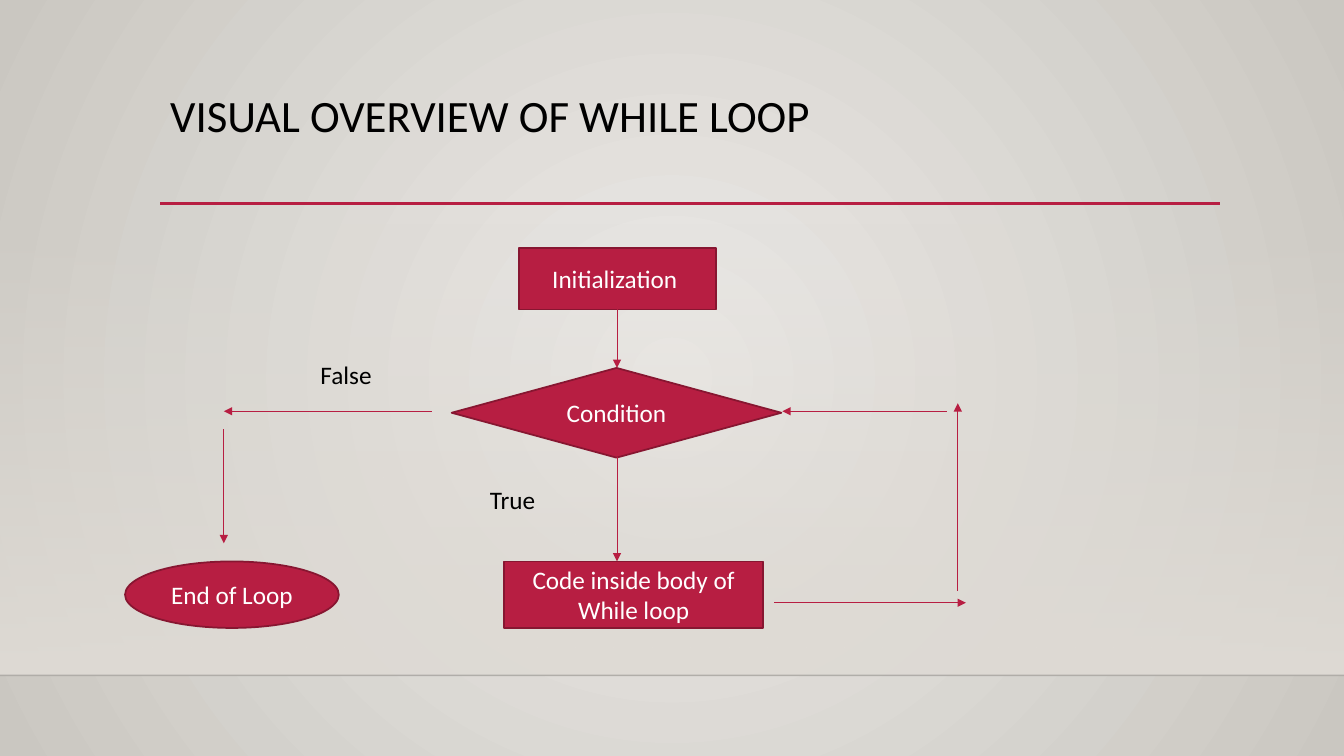
from dataclasses import dataclass

from lxml.etree import SubElement
from pptx import Presentation
from pptx.dml.color import RGBColor
from pptx.enum.shapes import MSO_CONNECTOR, MSO_SHAPE
from pptx.enum.text import MSO_ANCHOR, PP_ALIGN
from pptx.oxml import parse_xml
from pptx.oxml.ns import nsdecls, qn
from pptx.util import Inches, Pt


@dataclass(frozen=True)
class Theme:
    font: str = "Calibri"
    title_size: int = 32
    body_size: int = 18
    accent: str = "B71E42"
    outline: str = "871631"
    ink: str = "000000"
    paper: str = "FFFFFF"
    wall: str = "DFDBD5"
    glow: str = "ECEAE7"
    edge: str = "CAC7C1"


THEME = Theme()
RADIAL = ('<a:path path="circle"><a:fillToRect l="50000" t="50000" '
          'r="50000" b="50000"/></a:path>')
DOWNWARD = '<a:lin ang="5400000" scaled="0"/>'


def set_all(target, values):
    for name, value in values.items():
        setattr(target, name, value)


def inches(*lengths):
    return [Inches(length) for length in lengths]


def set_gradient(fill, owner, stops, direction):
    """Fill owner with (position, colour, opacity) stops, in percent."""
    fill.gradient()
    plain = next(owner.iter(qn("a:gradFill")))
    stop_xml = "".join(
        f'<a:gs pos="{position * 1000}"><a:srgbClr val="{color}">'
        f'<a:alpha val="{opacity * 1000}"/></a:srgbClr></a:gs>'
        for position, color, opacity in stops)
    gradient = parse_xml(f'<a:gradFill {nsdecls("a")} rotWithShape="1">'
                         f'<a:gsLst>{stop_xml}</a:gsLst>{direction}</a:gradFill>')
    plain.getparent().replace(plain, gradient)


def write(frame, text, size, color, frame_format, paragraph_format):
    set_all(frame, {"word_wrap": True, **frame_format})
    paragraph = frame.paragraphs[0]
    set_all(paragraph, paragraph_format)
    run = paragraph.add_run()
    run.text = text
    set_all(run.font, {"name": THEME.font, "size": Pt(size)})
    run.font.color.rgb = RGBColor.from_string(color)


def add_label(slide, text, box, size=THEME.body_size, spacing=None):
    label = slide.shapes.add_textbox(*inches(*box))
    write(label.text_frame, text, size, THEME.ink,
          {"vertical_anchor": MSO_ANCHOR.TOP}, {"line_spacing": spacing})


def add_step(slide, outline, text, box):
    step = slide.shapes.add_shape(outline, *inches(*box))
    step.shadow.inherit = False
    step.fill.solid()
    step.fill.fore_color.rgb = RGBColor.from_string(THEME.accent)
    step.line.color.rgb = RGBColor.from_string(THEME.outline)
    step.line.width = Pt(1.25)
    write(step.text_frame, text, THEME.body_size, THEME.paper,
          {"vertical_anchor": MSO_ANCHOR.MIDDLE}, {"alignment": PP_ALIGN.CENTER})


def add_line(slide, start, end, color, width, arrow=False, opacity=100):
    line = slide.shapes.add_connector(MSO_CONNECTOR.STRAIGHT,
                                      *inches(*start, *end))
    line.line.color.rgb = RGBColor.from_string(color)
    line.line.width = Pt(width)
    properties = line._element.spPr
    stroke = properties.find(qn("a:ln"))
    if opacity < 100:
        tint = next(stroke.iter(qn("a:srgbClr")))
        SubElement(tint, qn("a:alpha"), val=str(opacity * 1000))
    if arrow:
        SubElement(stroke, qn("a:tailEnd"), type="triangle")
    SubElement(properties, qn("a:effectLst"))


def add_backdrop(slide):
    set_gradient(slide.background.fill, slide.element,
                 [(0, THEME.glow, 100), (100, THEME.edge, 100)], RADIAL)
    wall = slide.shapes.add_shape(MSO_SHAPE.RECTANGLE,
                                  *inches(0, 2.21, 13.33, 4.49))
    wall.shadow.inherit = False
    wall.line.fill.background()
    set_gradient(wall.fill, wall._element,
                 [(0, THEME.wall, 0), (100, THEME.wall, 100)], DOWNWARD)
    add_line(slide, (0, 6.7), (13.33, 6.7), THEME.ink, 1, opacity=20)


def main():
    deck = Presentation()
    set_all(deck, {"slide_width": Inches(13.33), "slide_height": Inches(7.5)})
    slide = deck.slides.add_slide(deck.slide_layouts[6])

    # Backdrop and title
    add_backdrop(slide)
    add_line(slide, (1.59, 2.02), (12.1, 2.02), THEME.accent, 2.5)
    add_label(slide, "VISUAL OVERVIEW OF WHILE LOOP", (1.59, 0.88, 10.5, 1.15),
              THEME.title_size, 0.9)

    # Steps of the loop
    for step in (
        (MSO_SHAPE.RECTANGLE, "Initialization ", (5.15, 2.46, 1.95, 0.61)),
        (MSO_SHAPE.FLOWCHART_DECISION, "Condition", (4.48, 3.65, 3.27, 0.89)),
        (MSO_SHAPE.RECTANGLE, "Code inside body of While loop",
         (5, 5.57, 2.57, 0.66)),
        (MSO_SHAPE.OVAL, "End of Loop", (1.24, 5.57, 2.12, 0.66)),
    ):
        add_step(slide, *step)

    # Arrows: down the main axis, back up on the right, out on the left
    axis, exit_x, return_x, branch_y = 6.12, 2.22, 9.5, 4.08
    for start, end in (
        ((axis, 3.07), (axis, 3.65)),
        ((axis, 4.53), (axis, 5.57)),
        ((7.68, 5.98), (9.58, 5.98)),
        ((return_x, 5.86), (return_x, 4)),
        ((9.39, branch_y), (7.76, branch_y)),
        ((4.28, branch_y), (exit_x, branch_y)),
        ((exit_x, 4.26), (exit_x, 5.39)),
    ):
        add_line(slide, start, end, THEME.accent, 0.75, arrow=True)

    # Branch labels
    add_label(slide, "True", (4.76, 4.76, 0.84, 0.4))
    add_label(slide, "False", (3.08, 3.52, 0.95, 0.4))

    deck.save("out.pptx")


if __name__ == "__main__":
    main()
